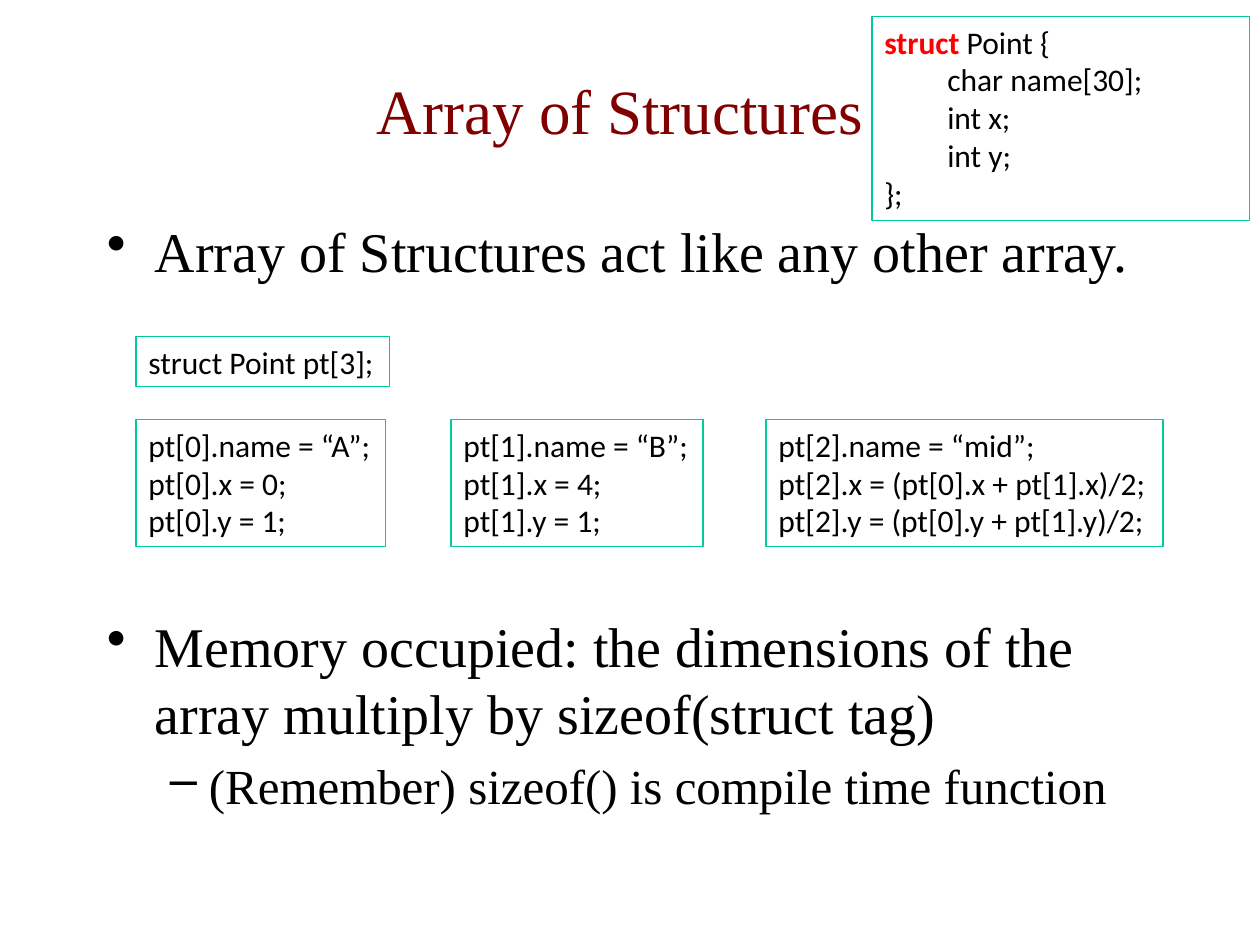
import pptx
import pptx.util
import pptx.dml.color
import pptx.enum.shapes
import pptx.enum.text
import lxml.etree

Inches = pptx.util.Inches
Pt = pptx.util.Pt
Anchor = pptx.enum.text.MSO_ANCHOR
Align = pptx.enum.text.PP_ALIGN
SERIF, SANS = "Times New Roman", "Calibri"
BLACK, RED, MAROON, TEAL = "000000", "FF0000", "800000", "00CC99"


def color(hex_text):
    """Turn a hex string into a colour."""
    return pptx.dml.color.RGBColor.from_string(hex_text)


def add_span(para, text, font, size, hex_text=BLACK, bold=False):
    """Add one formatted run to a paragraph."""
    span = para.add_run()
    span.text = text
    span.font.name = font
    span.font.size = Pt(size)
    span.font.bold = bold
    span.font.color.rgb = color(hex_text)


def next_para(frame, index):
    """Return the first paragraph, or a new one after it."""
    return frame.paragraphs[0] if index == 0 else frame.add_paragraph()


def set_bullet(para, mark, margin, hang):
    """Give a paragraph a bullet with a hanging indent."""
    properties = para._p.get_or_add_pPr()
    properties.set("marL", str(Inches(margin)))
    properties.set("indent", str(-Inches(hang)))
    bullet = lxml.etree.SubElement(properties, pptx.oxml.ns.qn("a:buChar"))
    bullet.set("char", mark)


def add_title(page, left, top, width, height):
    """Place the centred slide title."""
    frame = page.shapes.add_textbox(*map(Inches, (left, top, width, height))).text_frame
    frame.word_wrap = True
    frame.vertical_anchor = Anchor.MIDDLE
    para = frame.paragraphs[0]
    para.alignment = Align.CENTER
    add_span(para, "Array of Structures", SERIF, 36, MAROON)


def add_body(page, left, top, width, height):
    """Place the bullet list, leaving a gap for the code boxes."""
    frame = page.shapes.add_textbox(*map(Inches, (left, top, width, height))).text_frame
    frame.word_wrap = True
    items = [
        ("Array of Structures act like any other array.", "•", 32, 0.38, 0.38, 6.4),
        ("Memory occupied: the dimensions of the array multiply by sizeof(struct tag)",
         "•", 32, 0.38, 0.38, 187),
        ("(Remember) sizeof() is compile time function", "–", 28, 0.81, 0.31, 5.6),
    ]
    for index, (text, mark, size, margin, hang, gap) in enumerate(items):
        para = next_para(frame, index)
        para.space_before = Pt(gap)
        set_bullet(para, mark, margin, hang)
        add_span(para, text, SERIF, size)


def add_code(page, left, top, width, height, lines, keyword="", wrap=False):
    """Place an outlined code box whose opening keyword is highlighted."""
    box = page.shapes.add_shape(pptx.enum.shapes.MSO_SHAPE.RECTANGLE,
                                *map(Inches, (left, top, width, height)))
    box.shadow.inherit = False
    box.fill.background()
    box.line.color.rgb = color(TEAL)
    box.line.width = Pt(0.75)
    frame = box.text_frame
    frame.word_wrap = wrap
    frame.auto_size = pptx.enum.text.MSO_AUTO_SIZE.SHAPE_TO_FIT_TEXT
    frame.vertical_anchor = Anchor.TOP
    for index, line in enumerate(lines):
        para = next_para(frame, index)
        para.alignment = Align.LEFT
        if keyword and index == 0:
            add_span(para, keyword, SANS, 18, RED, True)
        add_span(para, line, SANS, 18)


def add_assignments(page, left, top, step, height):
    """Place one code box for each array element, evenly stepped."""
    elements = [
        (1.98, "“A”", "0", "1"),
        (2, "“B”", "4", "1"),
        (3.15, "“mid”", "(pt[0].x + pt[1].x)/2", "(pt[0].y + pt[1].y)/2"),
    ]
    for index, (width, *values) in enumerate(elements):
        lines = [f"pt[{index}].{field} = {value};"
                 for field, value in zip(("name", "x", "y"), values)]
        add_code(page, left + index * step, top, width, height, lines)


def build():
    """Build and save the slide."""
    deck = pptx.Presentation()
    deck.slide_width, deck.slide_height = Inches(10), Inches(7.5)
    page = deck.slides.add_slide(deck.slide_layouts[6])
    add_title(page, 0.67, 0.33, 8.5, 1.08)
    add_body(page, 0.75, 1.67, 8.5, 5.08)
    add_code(page, 1.08, 2.67, 2.01, 0.4, ["struct Point pt[3];"])
    add_assignments(page, 1.08, 3.33, 2.5, 1.01)
    add_code(page, 6.92, 0.13, 3, 1.62,
             [" Point {", "\tchar name[30];", "\tint x;", "\tint y;", "};"],
             keyword="struct", wrap=True)
    deck.save("out.pptx")


build()
